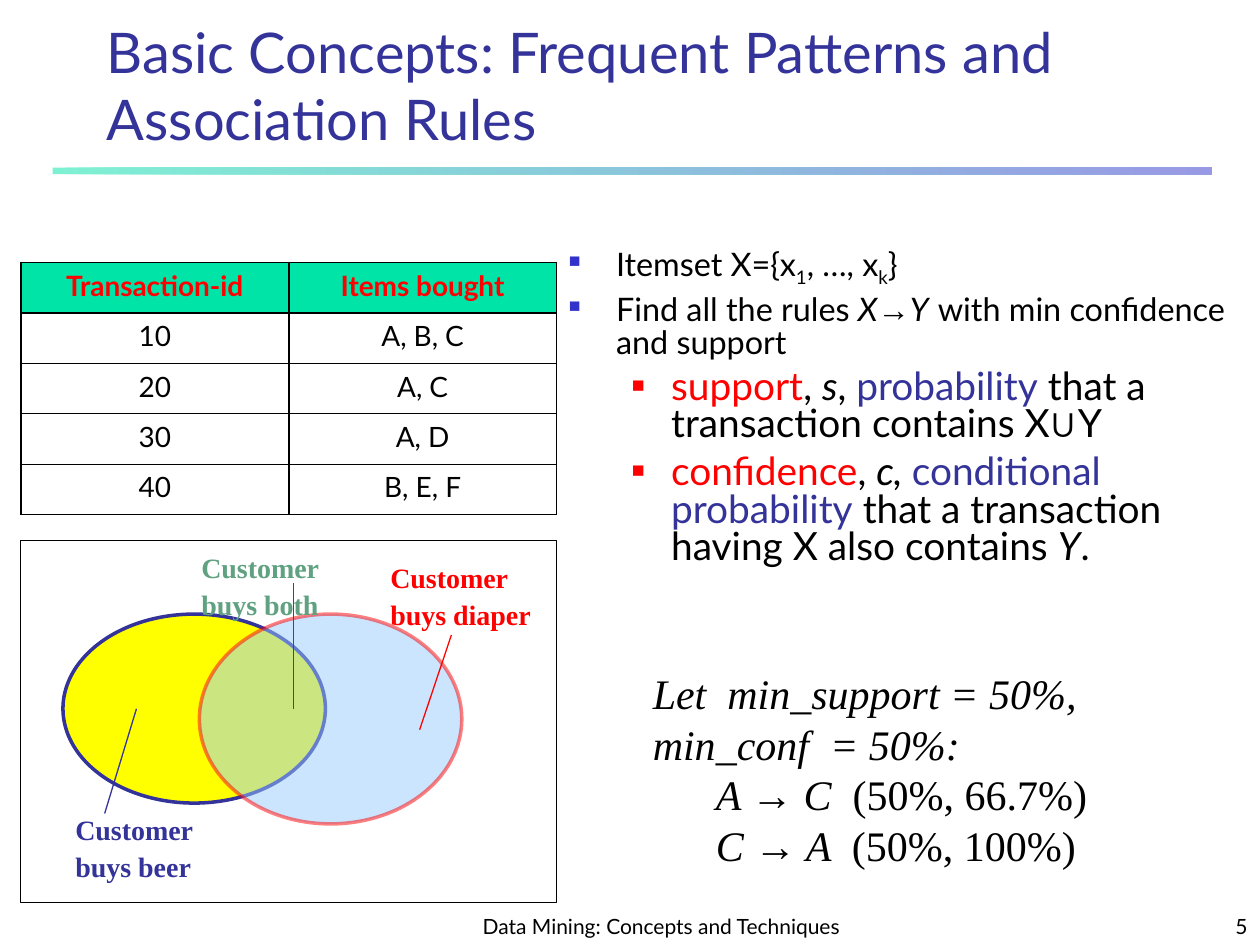
import pptx
import pptx.dml.color
import pptx.enum.shapes
import pptx.enum.text
import pptx.oxml.ns
import pptx.util
import lxml.etree

Cm, Pt = pptx.util.Cm, pptx.util.Pt
RGB = pptx.dml.color.RGBColor
qn = pptx.oxml.ns.qn
ALIGN = pptx.enum.text.PP_ALIGN
ANCHOR = pptx.enum.text.MSO_ANCHOR
SHAPE = pptx.enum.shapes.MSO_SHAPE
LINE = pptx.enum.shapes.MSO_CONNECTOR.STRAIGHT

BLACK = RGB(0, 0, 0)
RED = RGB(0xFF, 0, 0)
NAVY = RGB(0x33, 0x33, 0x99)
BLUE = RGB(0x33, 0x33, 0xCC)
MINT = RGB(0, 0xE4, 0xA8)
YELLOW = RGB(0xFF, 0xFF, 0)
SKY = RGB(0x99, 0xCC, 0xFF)
GREEN = RGB(0, 0x80, 0)
SAGE = RGB(0x5F, 0xA1, 0x80)

ITAL = {"italic": True}
ARROW = ("→", {"name": "Arial", "italic": False})


def add_xml(node, tag, **attrs):
    return lxml.etree.SubElement(node, qn(tag), attrs)


def add_run(para, text, form):
    run = para.add_run()
    run.text = text
    for key, val in form.items():
        if key == "color":
            run.font.color.rgb = val
        elif key == "base":
            run.font._element.set("baseline", str(val * 1000))
        else:
            setattr(run.font, key, val)


def add_text(slide, box, paras, form, anchor=ANCHOR.TOP, **layout):
    """Each paragraph is a list of (text, changes to form)."""
    frame = slide.shapes.add_textbox(*map(Cm, box)).text_frame
    frame.word_wrap = True
    frame.vertical_anchor = anchor
    for i, runs in enumerate(paras):
        para = frame.paragraphs[0] if i == 0 else frame.add_paragraph()
        for key, val in layout.items():
            setattr(para, key, val)
        for text, change in runs:
            add_run(para, text, {**form, **change})
    return frame


def fade(fill, share):
    for color in fill._xPr.iter(qn("a:srgbClr")):
        add_xml(color, "a:alpha", val=str(share * 1000))


def add_shape(slide, kind, box, fill=None, line=None, width=1):
    shape = slide.shapes.add_shape(kind, *map(Cm, box))
    shape.shadow.inherit = False
    for part, color in ((shape.fill, fill), (shape.line.fill, line)):
        if color is None:
            part.background()
        else:
            part.solid()
            part.fore_color.rgb = color
    if line is not None:
        shape.line.width = Pt(width)
    return shape


def add_line(slide, ends, color):
    line = slide.shapes.add_connector(LINE, *map(Cm, ends))
    line.line.color.rgb = color
    line.line.width = Pt(0.75)
    add_xml(line._element.spPr, "a:effectLst")


def add_head(slide, x, y, w, h):
    bar = add_shape(slide, SHAPE.RECTANGLE, (x, y + h, w, 0.13))
    bar.fill.gradient()
    bar.fill.gradient_angle = 0
    for stop, color in zip(bar.fill.gradient_stops, (MINT, BLUE)):
        stop.color.rgb = color
    fade(bar.fill, 50)
    add_text(slide, (x + 0.84, y, w - 1.14, h - 0.2),
             [[("Basic Concepts: Frequent Patterns and Association Rules", {})]],
             {"name": "Lato", "size": Pt(32), "color": NAVY}, ANCHOR.BOTTOM)


def add_points(slide, x, y, w, h):
    big, sub = {"size": Pt(22.2)}, {"base": -25}
    red, navy = {**big, "color": RED}, {**big, "color": NAVY}
    paras = [
        [("Itemset X={x", {}), ("1", sub), (", …, x", {}), ("k", sub), ("}", {})],
        [("Find all the rules ", {}), ("X", ITAL), ARROW, ("Y", ITAL),
         (" ", {**big, **ITAL}), ("with min confidence and support", {})],
        [("support", red), (", ", big), ("s", {**big, **ITAL}), (", ", big),
         ("probability", navy), (" that a transaction contains X", big),
         ("∪", {**big, "name": "Arial"}), ("Y", big)],
        [("confidence", red), (", ", big), ("c, ", {**big, **ITAL}),
         ("conditional probability", navy),
         (" that a transaction having X also contains ", big),
         ("Y", {**big, **ITAL}), (".", big)],
    ]
    frame = add_text(slide, (x, y, w, h), paras,
                     {"name": "Lato", "size": Pt(18.5), "color": BLACK},
                     line_spacing=0.8)
    # Bullets: left edge, hang, colour, size and space before for each level
    levels = ((0.95, 0.95, BLUE, 60, 5), (2.06, 0.79, RED, 55, 6))
    for i, para in enumerate(frame.paragraphs):
        left, hang, color, size, gap = levels[i // 2]
        para.level = i // 2
        para.space_before = Pt(gap if i else 0)
        props = para._p.get_or_add_pPr()
        props.set("marL", str(Cm(left)))
        props.set("indent", str(-Cm(hang)))
        add_xml(add_xml(props, "a:buClr"), "a:srgbClr", val=str(color))
        add_xml(props, "a:buSzPct", val=str(size * 1000))
        add_xml(props, "a:buFont", typeface="Arial")
        add_xml(props, "a:buChar", char="■")


def add_sample(slide, x, y, w, h):
    paras = [[("Let  min_support = 50%, min_conf  = 50%:", ITAL)]]
    for start, end, score in (("A", "C", "66.7%"), ("C", "A", "100%")):
        paras.append([(start + " ", ITAL), ARROW, (f" {end}  ", ITAL),
                      (f"(50%, {score})", {})])
    frame = add_text(slide, (x, y, w, h), paras,
                     {"name": "Times New Roman", "size": Pt(24), "color": BLACK})
    for para in frame.paragraphs[1:]:
        para.level = 1
        para._p.get_or_add_pPr().set("marL", str(Cm(1.27)))


def add_edges(cell, top, base):
    props = cell._tc.get_or_add_tcPr()
    sides = (("L", 1.08), ("R", 1.08), ("T", top), ("B", base))
    for i, (side, width) in enumerate(sides):
        edge = lxml.etree.Element(qn("a:ln" + side), w=str(Pt(width)))
        add_xml(add_xml(edge, "a:solidFill"), "a:srgbClr", val=str(BLACK))
        props.insert(i, edge)


def add_deals(slide, x, y, w, h):
    rows = [("Transaction-id", "Items bought"), ("10", "A, B, C"),
            ("20", "A, C"), ("30", "A, D"), ("40", "B, E, F")]
    count = len(rows)
    table = slide.shapes.add_table(count, 2, *map(Cm, (x, y, w, h))).table
    table.horz_banding = False
    for i, row in enumerate(rows):
        for j, text in enumerate(row):
            cell = table.cell(i, j)
            if i == 0:
                cell.fill.solid()
                cell.fill.fore_color.rgb = MINT
            else:
                cell.fill.background()
            para = cell.text_frame.paragraphs[0]
            para.alignment = ALIGN.CENTER
            add_run(para, text, {"name": "Lato", "size": Pt(16), "bold": i == 0,
                                 "color": BLACK if i else RED})
            add_edges(cell, 1.08 if i < 2 else 0.45,
                      1.08 if i in (0, count - 1) else 0.45)


def add_venn(slide, x, y, w, h):
    # Overlapping sets
    add_shape(slide, SHAPE.OVAL, (x + 0.85, y + 1.48, 5.29, 3.81), YELLOW, NAVY, 2)
    diaper = add_shape(slide, SHAPE.OVAL, (x + 3.6, y + 1.48, 5.29, 4.23),
                       SKY, RED, 2)
    fade(diaper.fill, 50)
    diaper.line.color.rgb = RED
    # Pointers
    for x1, y1, x2, y2, color in ((2.33, 3.39, 1.69, 5.5, NAVY),
                                  (8.04, 3.81, 8.68, 1.9, RED),
                                  (5.5, 3.39, 5.5, 0.85, GREEN)):
        add_line(slide, (x + x1, y + y1, x + x2, y + y2), color)
    # Labels
    for left, top, word, color in ((7.2, 0.21, "diaper", RED),
                                   (3.39, 0, "both", SAGE),
                                   (0.85, 5.29, "beer", NAVY)):
        add_text(slide, (x + left, y + top, 3.4, 1.74),
                 [[("Customer", {})], [("buys " + word, {})]],
                 {"name": "Times New Roman", "size": Pt(16), "bold": True,
                  "color": color}, line_spacing=1.1)
    add_shape(slide, SHAPE.RECTANGLE, (x, y, w, h), line=BLACK, width=0.75)


def add_foot(slide, x, y, w, h):
    form = {"name": "Lato", "size": Pt(12), "color": BLACK}
    for left, wide, text, side in (
            (9.31, 8.05, "Data Mining: Concepts and Techniques", ALIGN.CENTER),
            (w - 5.29, 5.29, "5", ALIGN.RIGHT)):
        add_text(slide, (x + left, y, wide, h), [[(text, {})]], form,
                 ANCHOR.BOTTOM, alignment=side)


def main():
    deck = pptx.Presentation()
    deck.slide_width, deck.slide_height = Cm(25.4), Cm(19.05)
    slide = deck.slides.add_slide(deck.slide_layouts[6])
    add_head(slide, 1.06, 0.64, 23.37, 2.74)
    add_points(slide, 11.22, 4.87, 13.77, 7.52)
    add_sample(slide, 12.91, 13.34, 11.3, 4.45)
    add_venn(slide, 0.42, 10.9, 10.8, 7.3)
    add_deals(slide, 0.42, 5.29, 10.8, 5.08)
    add_foot(slide, 0, 17.99, 25.4, 1.06)
    deck.save("out.pptx")


if __name__ == "__main__":
    main()
